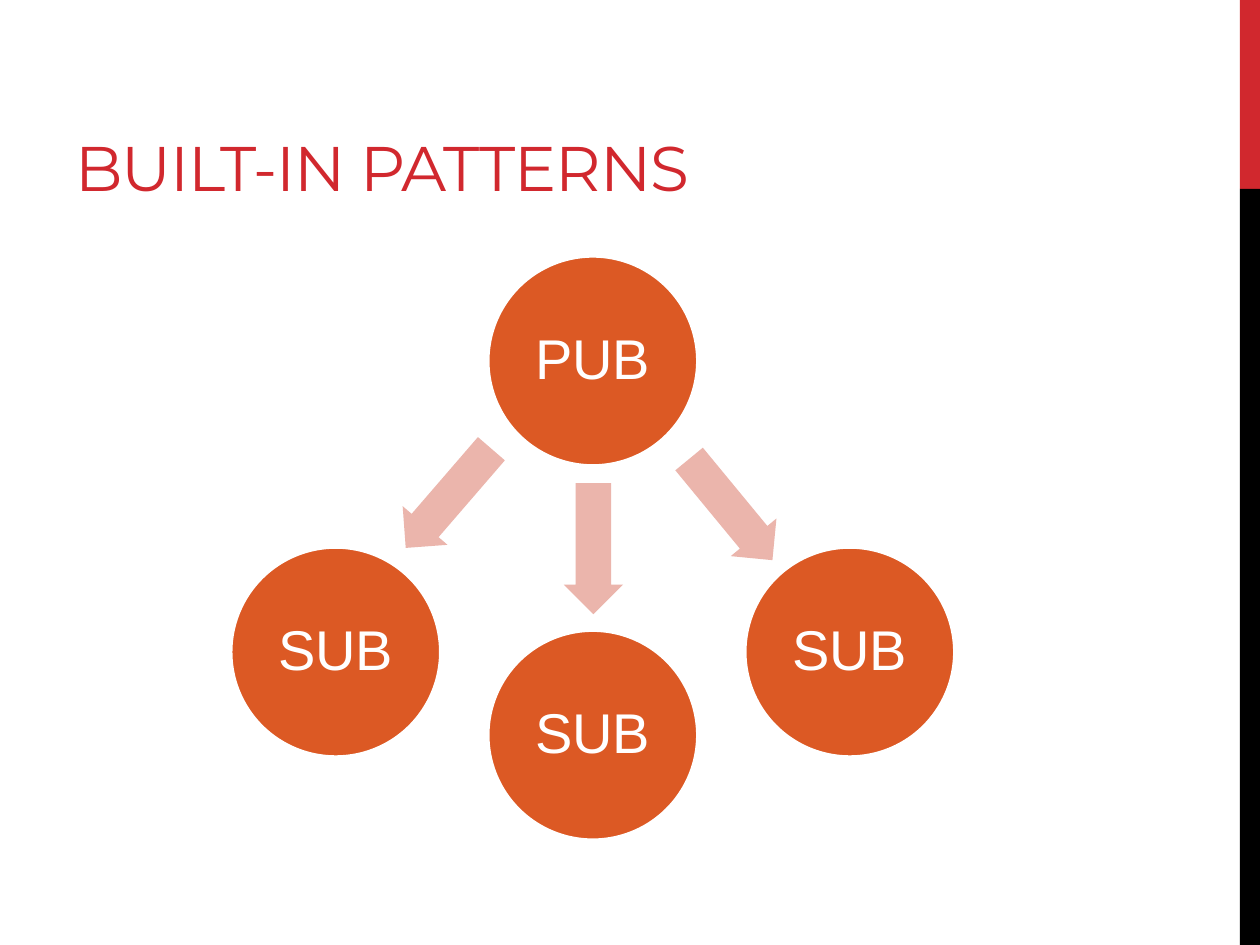
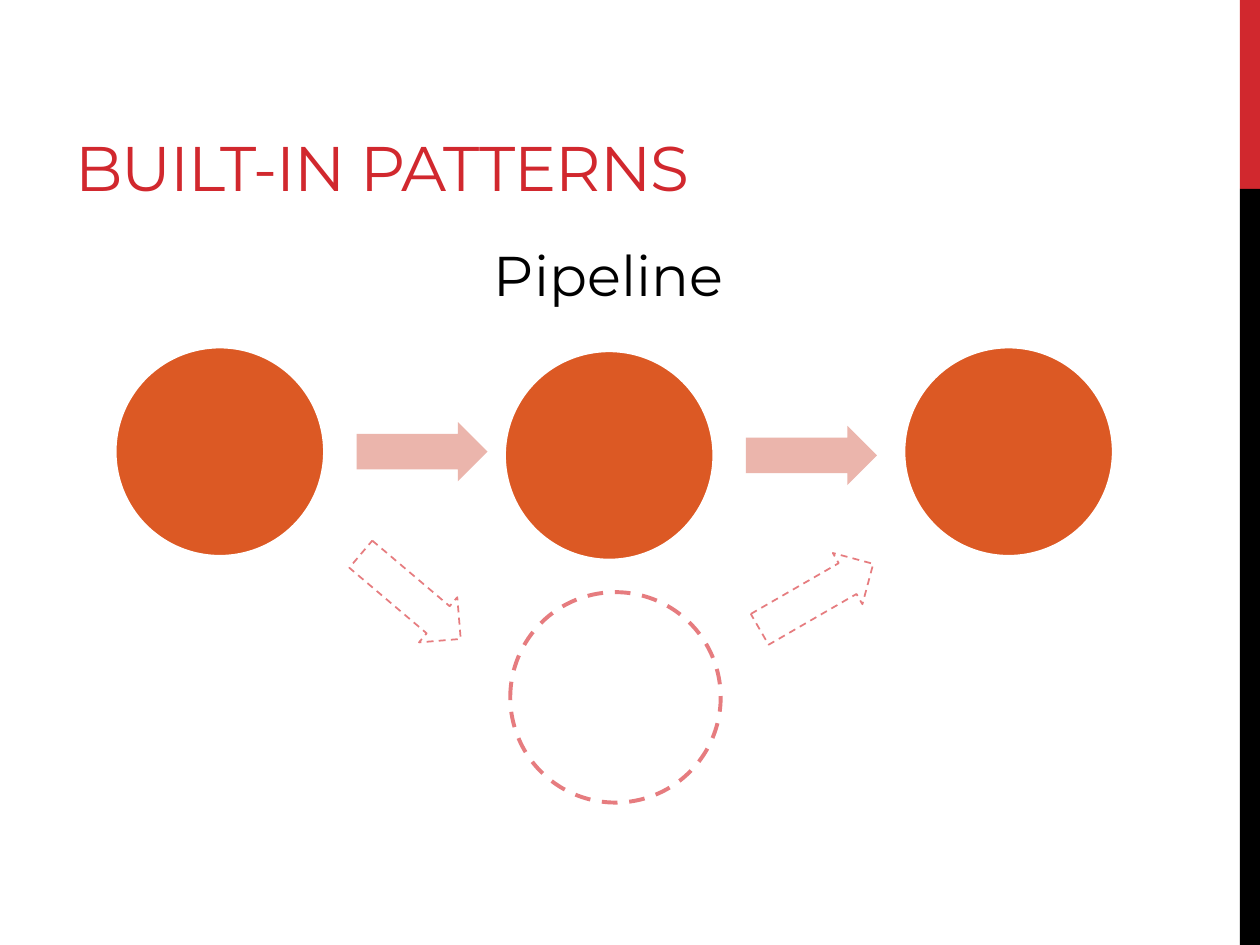
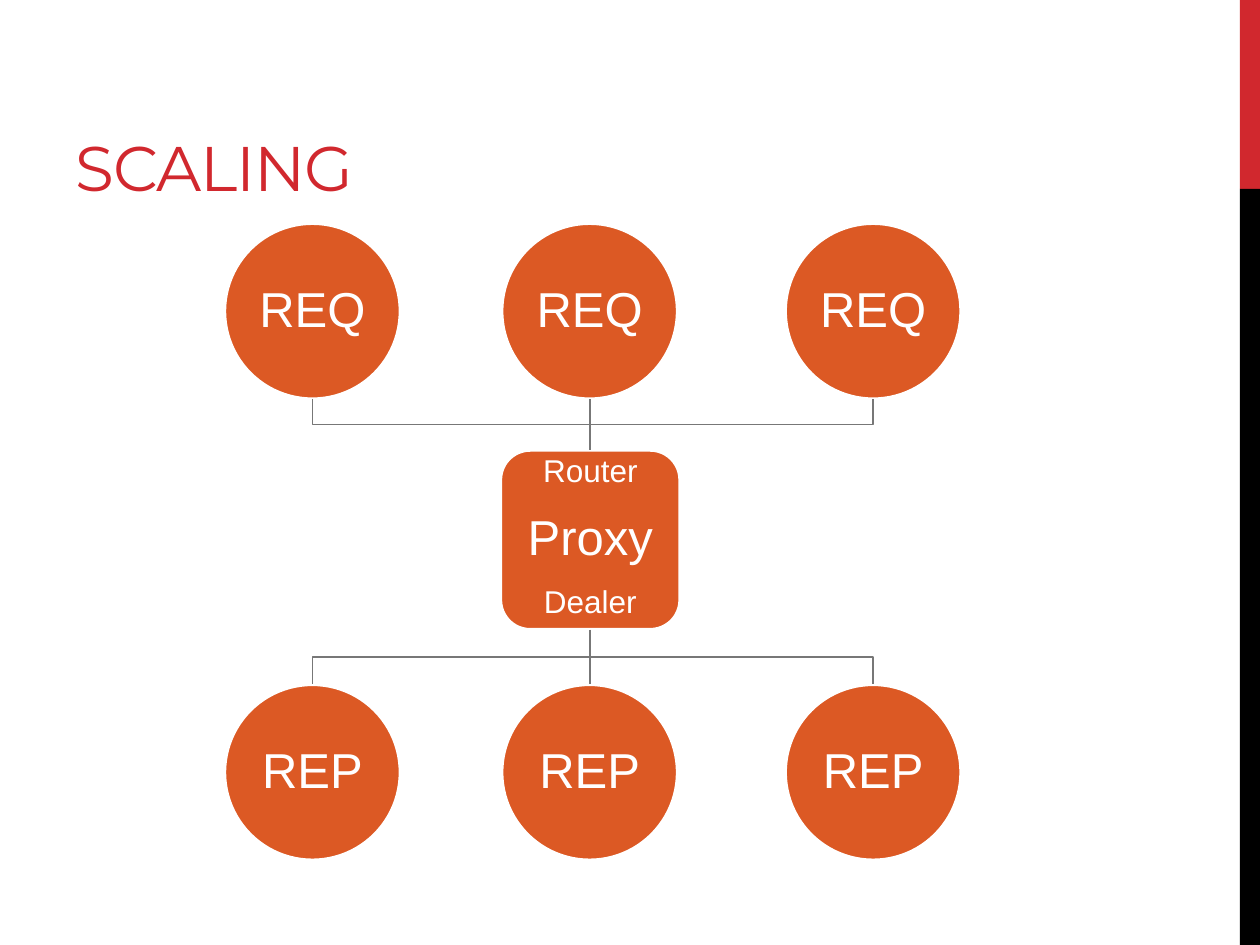
from pptx import Presentation
from pptx import util as u
from pptx.dml.color import RGBColor
from pptx.enum import dml, shapes, text
from pptx.oxml.ns import qn

PX = 9144  # EMU per px, 100 px to the inch
COLORS = {
    "red": "D1282E", "black": "000000", "white": "FFFFFF", "node": "DC5924",
    "arrow": "EBB5AC", "dashed": "E67C7F", "wire": "777777",
}
SHAPE = shapes.MSO_SHAPE
CENTER = text.PP_ALIGN.CENTER
MIDDLE = text.MSO_ANCHOR.MIDDLE
TIGHT = dict.fromkeys(("margin_left", "margin_top", "margin_right", "margin_bottom"), 4 * PX)
FRAME = {
    "title": {"word_wrap": True, "vertical_anchor": text.MSO_ANCHOR.BOTTOM},
    "heading": {"word_wrap": True},
    "label": {"word_wrap": True, "vertical_anchor": MIDDLE, **TIGHT},
}
PARAGRAPH = {
    "title": {"alignment": text.PP_ALIGN.LEFT},
    "heading": {"alignment": CENTER},
    "label": {"alignment": CENTER, "line_spacing": 0.9},
}
FONT = {"title": "Montserrat", "heading": "Montserrat", "label": "Arial"}
NODE, SMALL_NODE = 167, 140
ARROW_W, ARROW_H = 104, 47


def emu(*lengths):
    return [u.Emu(round(v * PX)) for v in lengths]


def rgb(name):
    return RGBColor.from_string(COLORS[name])


def set_all(obj, values):
    for name, value in values.items():
        setattr(obj, name, value)


def write(sp, words, style, size, color):
    tf = sp.text_frame
    set_all(tf, FRAME[style])
    p = tf.paragraphs[0]
    set_all(p, PARAGRAPH[style])
    r = p.add_run()
    r.text = words
    set_all(r.font, {"name": FONT[style], "size": u.Pt(size)})
    r.font.color.rgb = rgb(color)
    return r


def add_text(s, box, words, style, size, color):
    return write(s.shapes.add_textbox(*emu(*box)), words, style, size, color)


def add_block(s, kind, box, fill=None, line=None, width=1, dash=False):
    sp = s.shapes.add_shape(kind, *emu(*box))
    sp.shadow.inherit = False
    if fill:
        sp.fill.solid()
        sp.fill.fore_color.rgb = rgb(fill)
    else:
        sp.fill.background()
    if line:
        sp.line.color.rgb = rgb(line)
        sp.line.width = u.Pt(width)
        if dash:
            sp.line.dash_style = dml.MSO_LINE.DASH
    else:
        sp.line.fill.background()
    return sp


def add_node(s, left, top, side, words="", size=32, kind=SHAPE.OVAL):
    sp = add_block(s, kind, (left, top, side, side), "node", "white", 2.25)
    if words:
        write(sp, words, "label", size, "white")


def add_arrow(s, left, top, angle=0, dashed=False):
    look = {"line": "dashed", "dash": True} if dashed else {"fill": "arrow"}
    sp = add_block(s, SHAPE.RIGHT_ARROW, (left, top, ARROW_W, ARROW_H), **look)
    sp.adjustments[0], sp.adjustments[1] = 0.6, 0.5
    sp.rotation = angle


def add_wire(s, x1, y1, x2, y2):
    """Join an upper point to a lower one, leaving and arriving vertically."""
    kind, ends, angle = shapes.MSO_CONNECTOR.STRAIGHT, (x1, y1, x2, y2), 0
    if x1 != x2:
        # An elbow runs sideways first, so it is laid out flat and then turned.
        kind = shapes.MSO_CONNECTOR.ELBOW
        cx, cy = (x1 + x2) / 2, (y1 + y2) / 2
        reach, half = (y2 - y1) / 2, abs(x2 - x1) / 2
        angle = 270 if x2 > x1 else 90
        if x2 < x1:
            reach = -reach
        ends = (cx + reach, cy - half, cx - reach, cy + half)
    c = s.shapes.add_connector(kind, *emu(*ends))
    c.rotation = angle
    c.line.color.rgb = rgb("wire")
    c.line.width = u.Pt(1)
    spPr = c._element.spPr
    spPr.append(spPr.makeelement(qn("a:effectLst"), {}))


def add_slide(prs, title):
    s = prs.slides.add_slide(prs.slide_layouts[6])
    add_block(s, SHAPE.RECTANGLE, (984, 0, 16, 150), "red")
    add_block(s, SHAPE.RECTANGLE, (984, 150, 16, 600), "black")
    r = add_text(s, (50, 17, 633, 150), title, "title", 36, "red")
    r._r.get_or_add_rPr().set("spc", "-60")
    return s


def add_publish_subscribe(prs):
    s = add_slide(prs, "BUILT-IN PATTERNS")
    add_node(s, 387, 203, NODE, "PUB")
    for left, top in ((183, 434), (387, 500), (591, 434)):
        add_node(s, left, top, NODE, "SUB")
    for left, top, angle in ((304, 372, 130.8), (419, 412, 90), (528, 381, 50.5)):
        add_arrow(s, left, top, angle)


def add_pipeline(prs):
    s = add_slide(prs, "BUILT-IN PATTERNS")
    add_text(s, (308, 186, 350, 64), "Pipeline", "heading", 32, "black")
    for left, top in ((91, 275), (400, 278), (717, 275)):
        add_node(s, left, top, NODE)
    for left, top in ((283, 335), (592, 338)):
        add_arrow(s, left, top)
    add_block(s, SHAPE.OVAL, (405, 470, NODE, NODE), line="dashed", width=2.25, dash=True)
    for left, angle in ((274, 40.3), (596, 330)):
        add_arrow(s, left, 450, angle, dashed=True)


def add_scaling(prs):
    s = add_slide(prs, "SCALING")
    req_top, rep_top, proxy_top, proxy_side = 177, 543, 357, 143
    lefts = (178, 398, 623)
    for words, top in (("REP", rep_top), ("REQ", req_top)):
        for left in lefts:
            add_node(s, left, top, SMALL_NODE, words, 28)
    add_node(s, 397, proxy_top, proxy_side, "Proxy", 28, SHAPE.ROUNDED_RECTANGLE)
    hub = lefts[1] + SMALL_NODE // 2
    for left in lefts:
        x = left + SMALL_NODE // 2
        add_wire(s, x, req_top + SMALL_NODE, hub, proxy_top)
        add_wire(s, hub, proxy_top + proxy_side, x, rep_top)
    for words, top in (("Router", 358), ("Dealer", 462)):
        add_text(s, (418, top, 101, 34), words, "label", 18, "white")


def main():
    prs = Presentation()
    prs.slide_width, prs.slide_height = emu(1000, 750)
    add_publish_subscribe(prs)
    add_pipeline(prs)
    add_scaling(prs)
    prs.save("out.pptx")


if __name__ == "__main__":
    main()
